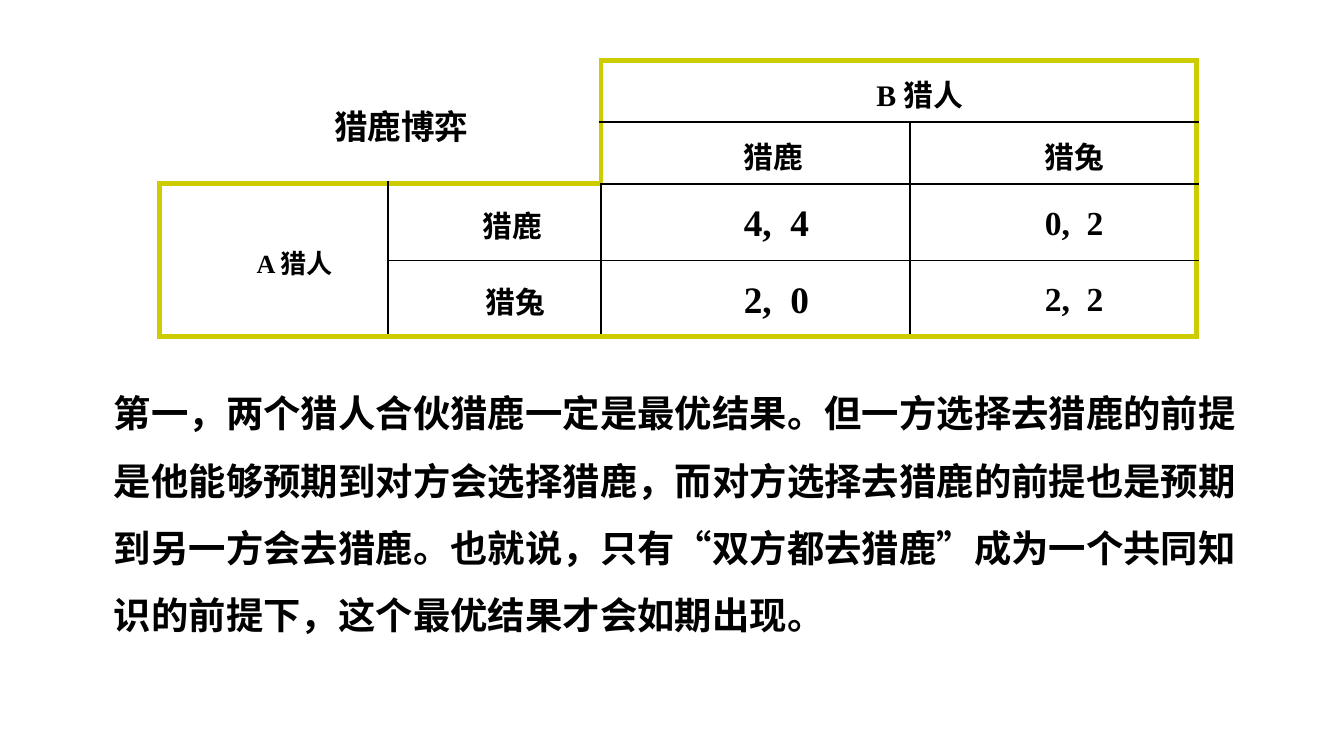
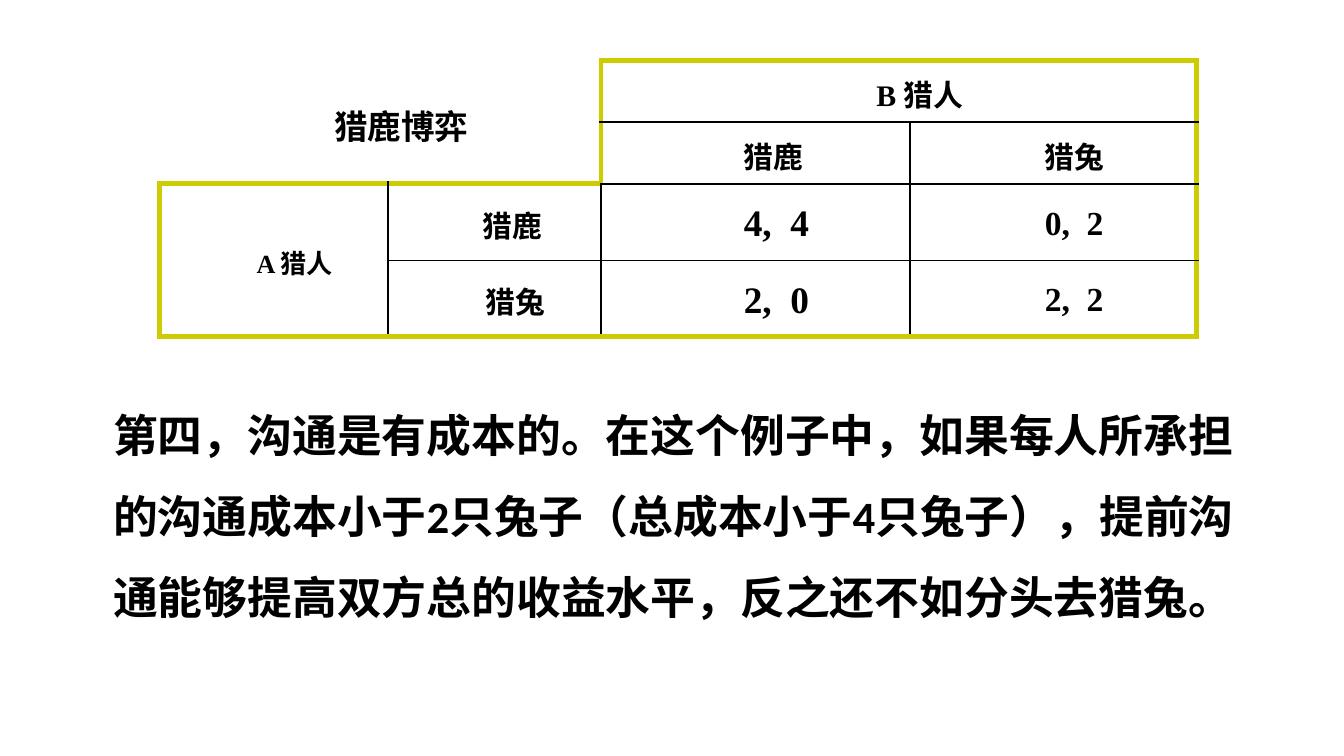
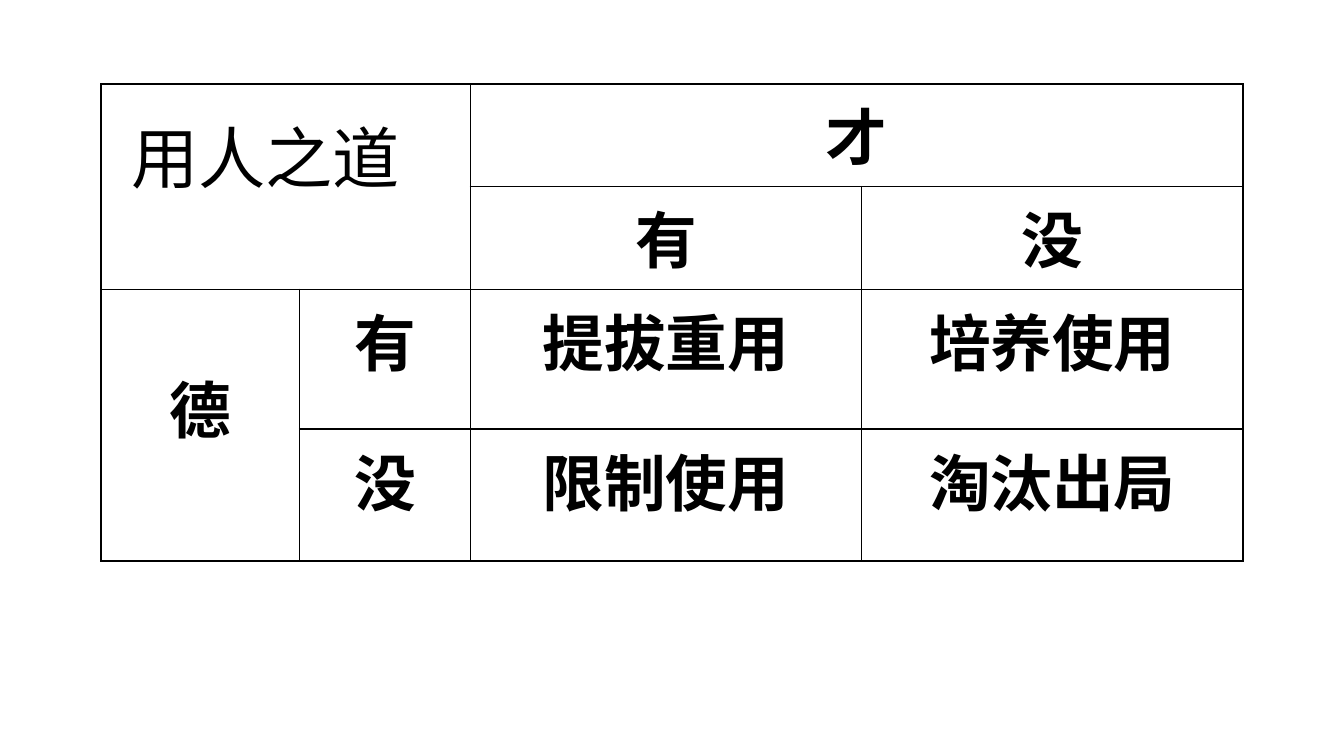
from dataclasses import dataclass
from typing import Optional

from lxml import etree
from pptx import Presentation
from pptx.dml.color import RGBColor
from pptx.enum.text import MSO_ANCHOR, MSO_AUTO_SIZE, PP_ALIGN
from pptx.oxml.ns import qn
from pptx.util import Pt

BLACK = RGBColor(0x00, 0x00, 0x00)
OLIVE = RGBColor(0xCC, 0xCC, 0x00)
LATIN, SERIF, CJK = "Calibri", "Times New Roman", "Noto Sans CJK SC"

TOP, MIDDLE = MSO_ANCHOR.TOP, MSO_ANCHOR.MIDDLE
LEFT, CENTER = PP_ALIGN.LEFT, PP_ALIGN.CENTER
FIXED, GROW = MSO_AUTO_SIZE.NONE, MSO_AUTO_SIZE.SHAPE_TO_FIT_TEXT

TITLE_ONLY, BLANK = 5, 6
SIDES = {"lnL": (0, -1), "lnR": (0, 1), "lnT": (-1, 0), "lnB": (1, 0)}

# Merged blocks of a two-by-two matrix: row, column, rows, columns
MERGES = {(0, 0): (2, 2), (0, 2): (1, 2), (2, 0): (2, 1)}


@dataclass(frozen=True)
class Entry:
    row: int
    col: int
    text: str
    size: float
    drop: float = 0


@dataclass(frozen=True)
class Matrix:
    left: float
    top: float
    widths: tuple[float, ...]
    heights: tuple[float, ...]
    entries: tuple[Entry, ...]
    margin: float
    anchor: MSO_ANCHOR = TOP
    indent: float = 0
    line: Optional[float] = None
    before: float = 0
    outlined: bool = False


@dataclass(frozen=True)
class Remark:
    left: float
    top: float
    width: float
    height: float
    size: float
    text: str


STAG_HUNT = Matrix(
    85.5, 32.5, (122.5, 114, 165.5, 153.5), (33, 33, 41, 41),
    (
        Entry(0, 0, "猎鹿博弈", 18), Entry(0, 2, "B 猎人", 16),
        Entry(1, 2, "猎鹿 ", 16), Entry(1, 3, "猎兔", 16),
        Entry(2, 0, "A 猎人", 14), Entry(2, 1, "猎鹿 ", 16),
        Entry(2, 2, "4,  4", 20), Entry(2, 3, "0,  2", 18),
        Entry(3, 1, "猎兔", 16), Entry(3, 2, "2,  0", 20),
        Entry(3, 3, "2,  2", 18),
    ),
    margin=2.2, anchor=MIDDLE, indent=22.5, line=1.1, before=0.2, outlined=True,
)

STAFFING = Matrix(
    54, 45, (106.5, 91.5, 209.5, 204.5), (55, 55, 75, 70.5),
    (
        Entry(0, 2, "才", 33), Entry(1, 2, "有", 33), Entry(1, 3, "没", 33),
        Entry(2, 0, "德", 33, drop=36), Entry(2, 1, "有", 33),
        Entry(2, 2, "提拔重用", 33), Entry(2, 3, "培养使用", 33),
        Entry(3, 1, "没", 33), Entry(3, 2, "限制使用", 33),
        Entry(3, 3, "淘汰出局", 33),
    ),
    margin=2.9,
)

REMARKS = (
    Remark(54, 191, 623.5, 148.5, 20,
           "第一，两个猎人合伙猎鹿一定是最优结果。但一方选择去猎鹿的前提是他能够预期到对方会选择猎鹿，"
           "而对方选择去猎鹿的前提也是预期到另一方会去猎鹿。也就说，只有“双方都去猎鹿”成为一个共同知识"
           "的前提下，这个最优结果才会如期出现。"),
    Remark(53.5, 198, 630, 133, 24,
           "第四，沟通是有成本的。在这个例子中，如果每人所承担的沟通成本小于2只兔子（总成本小于4只兔子），"
           "提前沟通能够提高双方总的收益水平，反之还不如分头去猎兔。"),
)


def write(frame, text: str, *, size: float, font: str, bold: bool = True,
          align=LEFT, line=None, before: float = 0, indent: float = 0) -> None:
    """Fill a text frame with one formatted paragraph."""
    paragraph = frame.paragraphs[0]
    paragraph.alignment = align
    paragraph.line_spacing = line
    paragraph.space_before = Pt(before)
    if indent:
        properties = paragraph._p.get_or_add_pPr()
        properties.set("marL", str(Pt(indent)))
        properties.set("indent", "0")
    run = paragraph.add_run()
    run.text = text
    run.font.size, run.font.bold, run.font.name = Pt(size), bold, font
    run.font.color.rgb = BLACK
    east_asian = etree.Element(qn("a:ea"), typeface=CJK)
    run._r.rPr.find(qn("a:latin")).addnext(east_asian)


def set_border(cell, side: str, color: Optional[RGBColor], weight: float) -> None:
    border = etree.SubElement(cell._tc.get_or_add_tcPr(), qn(f"a:{side}"),
                              w=str(Pt(weight)))
    if color is None:
        etree.SubElement(border, qn("a:noFill"))
    else:
        fill = etree.SubElement(border, qn("a:solidFill"))
        etree.SubElement(fill, qn("a:srgbClr"), val=str(color))


def is_inside(row: int, col: int) -> bool:
    """Tell whether a cell lies in the matrix, without its corner block."""
    return 0 <= row < 4 and 0 <= col < 4 and (row > 1 or col > 1)


def edge_style(matrix: Matrix, inside: bool,
               neighbour: bool) -> tuple[Optional[RGBColor], float]:
    if not matrix.outlined:
        return BLACK, 1
    if inside != neighbour:
        return OLIVE, 3
    return (BLACK if inside else None), 1


def add_matrix(slide, matrix: Matrix) -> None:
    table = slide.shapes.add_table(
        len(matrix.heights), len(matrix.widths), Pt(matrix.left), Pt(matrix.top),
        Pt(sum(matrix.widths)), Pt(sum(matrix.heights))).table
    table.first_row = table.horz_banding = False
    for column, width in zip(table.columns, matrix.widths):
        column.width = Pt(width)
    for row, height in zip(table.rows, matrix.heights):
        row.height = Pt(height)
    for (row, col), (rows, cols) in MERGES.items():
        table.cell(row, col).merge(table.cell(row + rows - 1, col + cols - 1))

    # Borders of each block, repeated on the cells it spans
    for row in range(4):
        for col in range(4):
            if table.cell(row, col).is_spanned:
                continue
            rows, cols = MERGES.get((row, col), (1, 1))
            block = [table.cell(row + r, col + c)
                     for r in range(rows) for c in range(cols)]
            for side, (down, right) in SIDES.items():
                next_row = row + (rows if down > 0 else down)
                next_col = col + (cols if right > 0 else right)
                color, weight = edge_style(matrix, is_inside(row, col),
                                           is_inside(next_row, next_col))
                for cell in block:
                    set_border(cell, side, color, weight)
            for cell in block:
                cell.fill.background()

    # Cell texts
    for entry in matrix.entries:
        cell = table.cell(entry.row, entry.col)
        cell.vertical_anchor = matrix.anchor
        cell.margin_top = Pt(matrix.margin + entry.drop)
        cell.margin_bottom = Pt(matrix.margin)
        write(cell.text_frame, entry.text, size=entry.size, font=SERIF,
              align=CENTER, line=matrix.line, indent=matrix.indent,
              before=round(matrix.before * entry.size, 1))


def add_remark(slide, remark: Remark) -> None:
    box = slide.shapes.add_textbox(Pt(remark.left), Pt(remark.top),
                                   Pt(remark.width), Pt(remark.height))
    frame = box.text_frame
    frame.word_wrap = True
    frame.auto_size = GROW
    frame.margin_top, frame.margin_bottom = Pt(6.2), Pt(0)
    write(frame, remark.text, size=remark.size, font=LATIN,
          line=Pt(1.8 * remark.size))


def set_title(slide, text: str) -> None:
    title = slide.shapes.title
    title.left, title.top = Pt(0), Pt(70.5)
    title.width, title.height = Pt(292.5), Pt(42.5)
    frame = title.text_frame
    frame.word_wrap = True
    frame.auto_size = FIXED
    frame.vertical_anchor = TOP
    frame.margin_top = frame.margin_bottom = Pt(0)
    write(frame, text, size=36, font=CJK, bold=False, align=CENTER, line=0.8)


def main() -> None:
    deck = Presentation()
    deck.slide_width, deck.slide_height = Pt(720), Pt(405)

    # Stag hunt: the same matrix under each remark
    for remark in REMARKS:
        slide = deck.slides.add_slide(deck.slide_layouts[BLANK])
        add_remark(slide, remark)
        add_matrix(slide, STAG_HUNT)

    # Staffing by virtue and talent
    slide = deck.slides.add_slide(deck.slide_layouts[TITLE_ONLY])
    set_title(slide, "用人之道 ")
    add_matrix(slide, STAFFING)

    deck.save("out.pptx")


if __name__ == "__main__":
    main()
